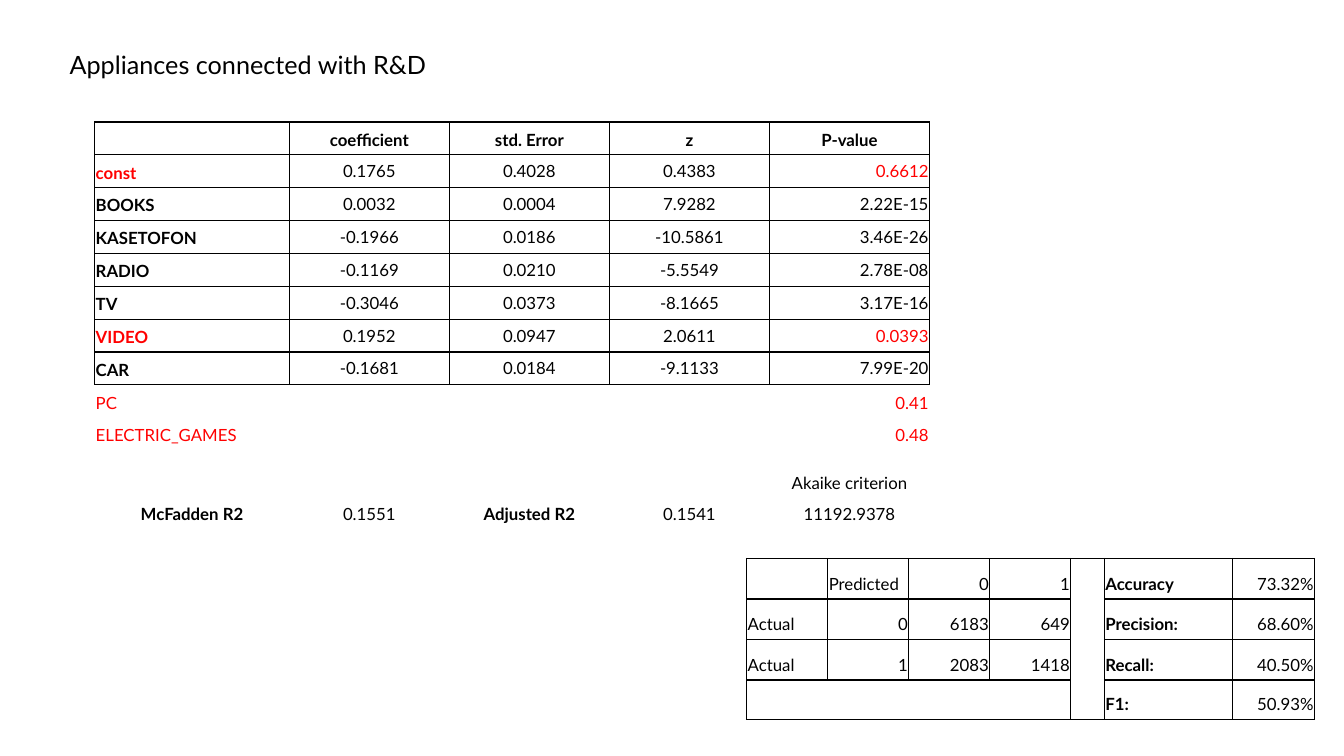
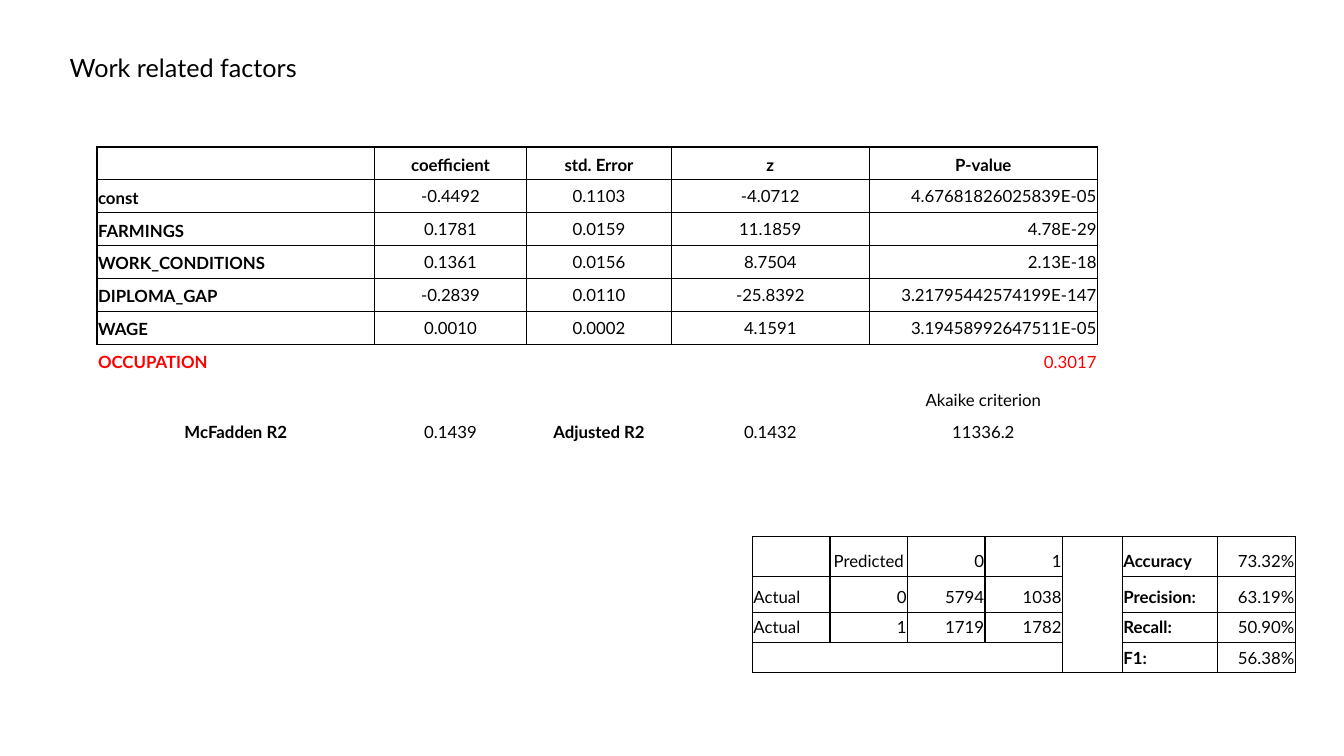
import pptx
import pptx.dml.color
import pptx.enum.text
import pptx.oxml.ns
import pptx.util
from lxml import etree

BLACK = pptx.dml.color.RGBColor(0x00, 0x00, 0x00)
RED = pptx.dml.color.RGBColor(0xFF, 0x00, 0x00)
FONT = "Lato"
LEFT, CENTER, RIGHT = (
    pptx.enum.text.PP_ALIGN.LEFT,
    pptx.enum.text.PP_ALIGN.CENTER,
    pptx.enum.text.PP_ALIGN.RIGHT,
)
TOP, MIDDLE, BOTTOM = (
    pptx.enum.text.MSO_ANCHOR.TOP,
    pptx.enum.text.MSO_ANCHOR.MIDDLE,
    pptx.enum.text.MSO_ANCHOR.BOTTOM,
)
PLAIN_STYLE = "{2D5ABB26-0587-4C30-8999-92F81FD0307C}"
SLIDE_W, SLIDE_H = pptx.util.Inches(13.33), pptx.util.Inches(7.5)
ROW_H = 4.35
ALL_SIDES = "LRTB"
HEADERS = ["", "coefficient", "std. Error", "z", "P-value"]
METRICS = ["Accuracy", "Precision:", "Recall:", "F1:"]


def across(percent):
    return int(SLIDE_W * percent / 100)


def down(percent):
    return int(SLIDE_H * percent / 100)


def write(tf, text, size=12, bold=False, color=BLACK, align=LEFT):
    p = tf.paragraphs[0]
    p.alignment = align
    if not text:
        end = etree.SubElement(p._p, pptx.oxml.ns.qn("a:endParaRPr"))
        end.set("sz", str(size * 100))
        return
    r = p.add_run()
    r.text = text
    r.font.name = FONT
    r.font.size = pptx.util.Pt(size)
    r.font.bold = bold
    r.font.color.rgb = color


def add_title(s, text, top):
    sp = s.shapes.title
    sp.left, sp.top = across(4.43), down(top)
    sp.width, sp.height = across(77.34), down(5.33)
    tf = sp.text_frame
    tf.word_wrap = True
    tf.auto_size = pptx.enum.text.MSO_AUTO_SIZE.SHAPE_TO_FIT_TEXT
    tf.vertical_anchor = TOP
    write(tf, text, size=18)


def add_borders(cell, sides):
    tcPr = cell._tc.get_or_add_tcPr()
    for side in ALL_SIDES:
        if side in sides:
            ln = etree.SubElement(tcPr, pptx.oxml.ns.qn(f"a:ln{side}"))
            ln.set("w", str(pptx.util.Pt(0.96)))
            fill = etree.SubElement(ln, pptx.oxml.ns.qn("a:solidFill"))
            color = etree.SubElement(fill, pptx.oxml.ns.qn("a:srgbClr"))
            color.set("val", str(BLACK))


def set_cell(cell, text="", sides="", anchor=BOTTOM, **fmt):
    add_borders(cell, sides)
    cell.fill.background()
    cell.margin_left = cell.margin_right = pptx.util.Inches(0.01)
    cell.margin_top = cell.margin_bottom = pptx.util.Inches(0.05)
    cell.vertical_anchor = anchor
    write(cell.text_frame, text, **fmt)


def add_grid(s, left, top, cols, rows):
    frame = s.shapes.add_table(
        len(rows), len(cols), across(left), down(top),
        across(sum(cols)), down(sum(rows)),
    )
    tbl = frame.table
    tbl.first_row = tbl.horz_banding = False
    style = tbl._tbl.tblPr.find(pptx.oxml.ns.qn("a:tableStyleId"))
    style.text = PLAIN_STYLE
    for col, width in zip(tbl.columns, cols):
        col.width = across(width)
    for row, height in zip(tbl.rows, rows):
        row.height = down(height)
    return tbl


def add_regression(s, left, top, cols, terms, dropped, fit, akaike_h,
                   red_terms=(), bold_dropped=False):
    heights = [ROW_H] * (1 + len(terms) + len(dropped)) + [akaike_h, ROW_H]
    tbl = add_grid(s, left, top, cols, heights)
    for c, text in enumerate(HEADERS):
        set_cell(tbl.cell(0, c), text, ALL_SIDES, bold=True, align=CENTER)
    for i, (name, *numbers, p_value) in enumerate(terms, 1):
        color = RED if name in red_terms else BLACK
        set_cell(tbl.cell(i, 0), name, ALL_SIDES, bold=True, color=color)
        for c, text in enumerate(numbers, 1):
            set_cell(tbl.cell(i, c), text, ALL_SIDES, MIDDLE, align=CENTER)
        set_cell(tbl.cell(i, 4), p_value, ALL_SIDES, MIDDLE, color=color, align=RIGHT)
    for i, (name, p_value) in enumerate(dropped, 1 + len(terms)):
        set_cell(tbl.cell(i, 0), name, bold=bold_dropped, color=RED)
        for c in range(1, 4):
            set_cell(tbl.cell(i, c))
        set_cell(tbl.cell(i, 4), p_value, color=RED, align=RIGHT)
    last = len(heights) - 1
    for c in range(4):
        set_cell(tbl.cell(last - 1, c))
    set_cell(tbl.cell(last - 1, 4), "Akaike criterion", align=CENTER)
    r2, adjusted, akaike = fit
    summary = ["McFadden R2", r2, "Adjusted R2", adjusted, akaike]
    for c, text in enumerate(summary):
        set_cell(tbl.cell(last, c), text, anchor=MIDDLE,
                 bold=text.endswith("R2"), align=CENTER)


def add_confusion(s, left, top, cols, rows, counts, scores, predicted_align=LEFT):
    tbl = add_grid(s, left, top, cols, rows)
    matrix = [["", "Predicted", "0", "1"]]
    matrix += [["Actual", str(i), *pair] for i, pair in enumerate(counts)]
    matrix.append([""] * 4)
    for i, (texts, metric, score) in enumerate(zip(matrix, METRICS, scores)):
        for c, text in enumerate(texts):
            align = RIGHT if text.isdigit() else LEFT
            if text == "Predicted":
                align = predicted_align
            set_cell(tbl.cell(i, c), text, ALL_SIDES, align=align)
        gap_sides = {0: "LRT", len(rows) - 1: "LRB"}.get(i, "LR")
        set_cell(tbl.cell(i, 4), sides=gap_sides)
        set_cell(tbl.cell(i, 5), metric, ALL_SIDES, bold=True)
        set_cell(tbl.cell(i, 6), score, ALL_SIDES, align=RIGHT)
    tbl.cell(3, 0).merge(tbl.cell(3, 3))


def build_appliances(s):
    add_title(s, "Appliances connected with R&D", 5.87)
    add_regression(
        s, 7.05, 16.13, [14.48] + [11.91] * 4,
        terms=[
            ("const", "0.1765", "0.4028", "0.4383", "0.6612"),
            ("BOOKS", "0.0032", "0.0004", "7.9282", "2.22E-15"),
            ("KASETOFON", "-0.1966", "0.0186", "-10.5861", "3.46E-26"),
            ("RADIO", "-0.1169", "0.0210", "-5.5549", "2.78E-08"),
            ("TV", "-0.3046", "0.0373", "-8.1665", "3.17E-16"),
            ("VIDEO", "0.1952", "0.0947", "2.0611", "0.0393"),
            ("CAR", "-0.1681", "0.0184", "-9.1133", "7.99E-20"),
        ],
        dropped=[("PC", "0.41"), ("ELECTRIC_GAMES", "0.48")],
        fit=("0.1551", "0.1541", "11192.9378"),
        akaike_h=6.27,
        red_terms=("const", "VIDEO"),
    )
    add_confusion(
        s, 55.56, 73.87, [6.03] * 4 + [2.5, 9.54, 6.1], [5.36] * 3 + [5.2],
        counts=[("6183", "649"), ("2083", "1418")],
        scores=["73.32%", "68.60%", "40.50%", "50.93%"],
    )


def build_work(s):
    add_title(s, "Work related factors", 6.27)
    add_regression(
        s, 7.22, 19.45, [20.65, 11.31, 10.79, 14.7, 17],
        terms=[
            ("const", "-0.4492", "0.1103", "-4.0712", "4.67681826025839E-05"),
            ("FARMINGS", "0.1781", "0.0159", "11.1859", "4.78E-29"),
            ("WORK_CONDITIONS", "0.1361", "0.0156", "8.7504", "2.13E-18"),
            ("DIPLOMA_GAP", "-0.2839", "0.0110", "-25.8392", "3.21795442574199E-147"),
            ("WAGE", "0.0010", "0.0002", "4.1591", "3.19458992647511E-05"),
        ],
        dropped=[("OCCUPATION", "0.3017")],
        fit=("0.1439", "0.1432", "11336.2"),
        akaike_h=5.07,
        bold_dropped=True,
    )
    add_confusion(
        s, 55.99, 71, [5.77] * 4 + [4.45, 7.07, 5.8], [5.22, 4.76, 4, 4],
        counts=[("5794", "1038"), ("1719", "1782")],
        scores=["73.32%", "63.19%", "50.90%", "56.38%"],
        predicted_align=CENTER,
    )


def main():
    prs = pptx.Presentation()
    prs.slide_width, prs.slide_height = SLIDE_W, SLIDE_H
    title_only = prs.slide_layouts[5]
    for build in (build_appliances, build_work):
        build(prs.slides.add_slide(title_only))
    prs.save("out.pptx")


if __name__ == "__main__":
    main()
